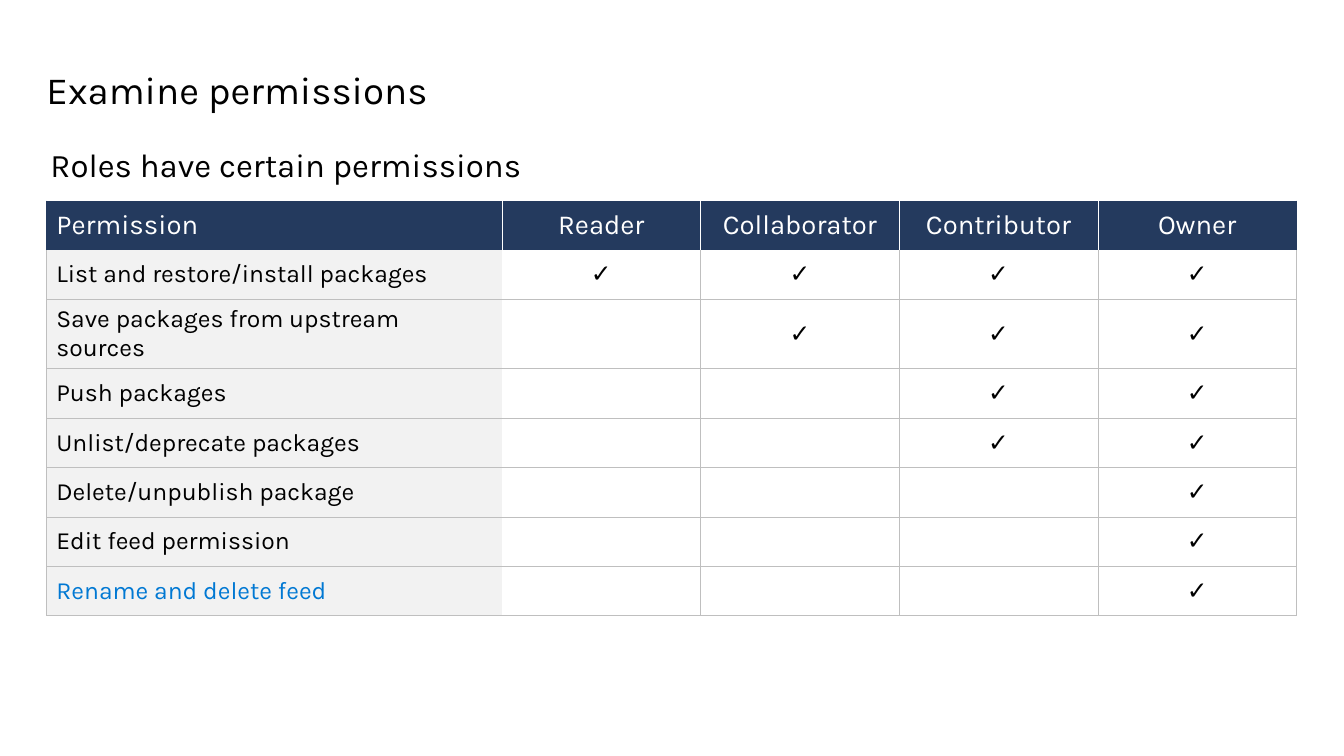
"""Build a slide that tabulates which permissions each feed role holds."""
import dataclasses
import typing

import lxml.etree
import pptx
import pptx.dml.color
import pptx.enum.text
import pptx.oxml.ns
import pptx.slide
import pptx.table
import pptx.text.text
import pptx.util

EMU_PER_PX = 9144
FONT = "Karla"
BLACK, WHITE, NAVY = "000000", "FFFFFF", "243A5E"
GREY, PALE, BLUE = "BFBFBF", "F2F2F2", "0078D3"
ALIGN = pptx.enum.text.PP_ALIGN
ANCHOR = pptx.enum.text.MSO_ANCHOR
CHECK = "✓"
ROLES = ("Reader", "Collaborator", "Contributor", "Owner")
COLUMN_WIDTHS = (461, 201, 201, 201, 201)
ROW_HEIGHT = 50


@dataclasses.dataclass(frozen=True)
class Permission:
    """A permission and the number of roles, counted from Owner, that hold it."""

    label: str
    holders: int
    color: str = BLACK


@dataclasses.dataclass(frozen=True)
class CellStyle:
    """The look of one table cell, with border colours keyed by edge letter."""

    size: int
    color: str
    fill: str
    align: ALIGN
    borders: dict[str, str]


PERMISSIONS = (
    Permission("List and restore/install packages", 4),
    Permission("Save packages from upstream sources", 3),
    Permission("Push packages", 2),
    Permission("Unlist/deprecate packages", 2),
    Permission("Delete/unpublish package", 1),
    Permission("Edit feed permission", 1),
    Permission("Rename and delete feed", 1, BLUE),
)


def px(length: int) -> pptx.util.Emu:
    """Turn whole px into EMU."""
    return pptx.util.Emu(length * EMU_PER_PX)


def rgb(color: str) -> pptx.dml.color.RGBColor:
    """Turn a hex string into a colour."""
    return pptx.dml.color.RGBColor.from_string(color)


def apply_format(target: typing.Any, values: dict[str, typing.Any]) -> None:
    """Set each named attribute on the target."""
    for name, value in values.items():
        setattr(target, name, value)


def write_text(frame: pptx.text.text.TextFrame, text: str, size: int, color: str,
               paragraph_format: dict[str, typing.Any]) -> None:
    """Write one formatted paragraph into a text frame."""
    paragraph = frame.paragraphs[0]
    apply_format(paragraph, paragraph_format)
    run = paragraph.add_run()
    run.text = text
    apply_format(run.font, {"name": FONT, "size": pptx.util.Pt(size), "bold": False})
    run.font.color.rgb = rgb(color)


def place_heading(shape: typing.Any, box: tuple[int, int, int, int], text: str,
                  size: int, paragraph_format: dict[str, typing.Any]) -> None:
    """Place a heading without insets and write its text."""
    apply_format(shape, dict(zip(("left", "top", "width", "height"), map(px, box))))
    apply_format(shape.text_frame, {
        "margin_left": 0, "margin_top": 0, "margin_right": 0, "margin_bottom": 0,
        "word_wrap": True, "vertical_anchor": ANCHOR.TOP,
        "auto_size": pptx.enum.text.MSO_AUTO_SIZE.SHAPE_TO_FIT_TEXT,
    })
    write_text(shape.text_frame, text, size, BLACK,
               {"alignment": ALIGN.LEFT} | paragraph_format)


def set_borders(cell: pptx.table._Cell, borders: dict[str, str]) -> None:
    """Draw the given cell edges and clear the others."""
    properties = cell._tc.get_or_add_tcPr()
    qn = pptx.oxml.ns.qn
    for edge in "LRTB":
        line = lxml.etree.SubElement(properties, qn(f"a:ln{edge}"), w="6350")
        if edge in borders:
            fill = lxml.etree.SubElement(line, qn("a:solidFill"))
            lxml.etree.SubElement(fill, qn("a:srgbClr"), val=borders[edge])
        else:
            lxml.etree.SubElement(line, qn("a:noFill"))


def cell_style(row: int, column: int) -> CellStyle:
    """Choose the style of a cell from its position in the table."""
    align = ALIGN.CENTER if column else ALIGN.LEFT
    if row == 0:
        left = WHITE if column else NAVY
        right = WHITE if column < len(ROLES) else NAVY
        return CellStyle(20, WHITE, NAVY, align, {"L": left, "R": right})
    edges = "B" if row == 1 else "TB"
    edges += {0: "L", 1: "R"}.get(column, "LR")
    color = BLACK if column else PERMISSIONS[row - 1].color
    return CellStyle(18, color, WHITE if column else PALE, align,
                     dict.fromkeys(edges, GREY))


def add_permission_table(slide: pptx.slide.Slide) -> None:
    """Add the table of permissions by role."""
    rows = [("Permission", *ROLES)]
    for permission in PERMISSIONS:
        first_holder = len(ROLES) - permission.holders
        rows.append((permission.label, *(CHECK if index >= first_holder else ""
                                         for index in range(len(ROLES)))))
    table = slide.shapes.add_table(
        len(rows), len(COLUMN_WIDTHS), px(47), px(203),
        px(sum(COLUMN_WIDTHS)), px(ROW_HEIGHT * len(rows))).table
    apply_format(table, {"first_row": False, "horz_banding": False})
    for column, width in zip(table.columns, COLUMN_WIDTHS):
        column.width = px(width)
    for row_index, texts in enumerate(rows):
        for column_index, text in enumerate(texts):
            cell = table.cell(row_index, column_index)
            style = cell_style(row_index, column_index)
            set_borders(cell, style.borders)
            cell.fill.solid()
            cell.fill.fore_color.rgb = rgb(style.fill)
            cell.vertical_anchor = ANCHOR.MIDDLE
            if text:
                write_text(cell.text_frame, text, style.size, style.color,
                           {"alignment": style.align})


def main() -> None:
    """Build and save the presentation."""
    presentation = pptx.Presentation()
    apply_format(presentation, {"slide_width": px(1360), "slide_height": px(765)})
    slide = presentation.slides.add_slide(
        presentation.slide_layouts.get_by_name("Title Only"))
    place_heading(slide.shapes.title, (47, 69, 1265, 45), "Examine permissions", 28,
                  {"line_spacing": pptx.util.Pt(32)})
    subtitle = slide.shapes.add_textbox(0, 0, 0, 0)
    place_heading(subtitle, (51, 146, 1261, 40), "Roles have certain permissions", 24, {})
    add_permission_table(slide)
    presentation.save("out.pptx")


if __name__ == "__main__":
    main()
